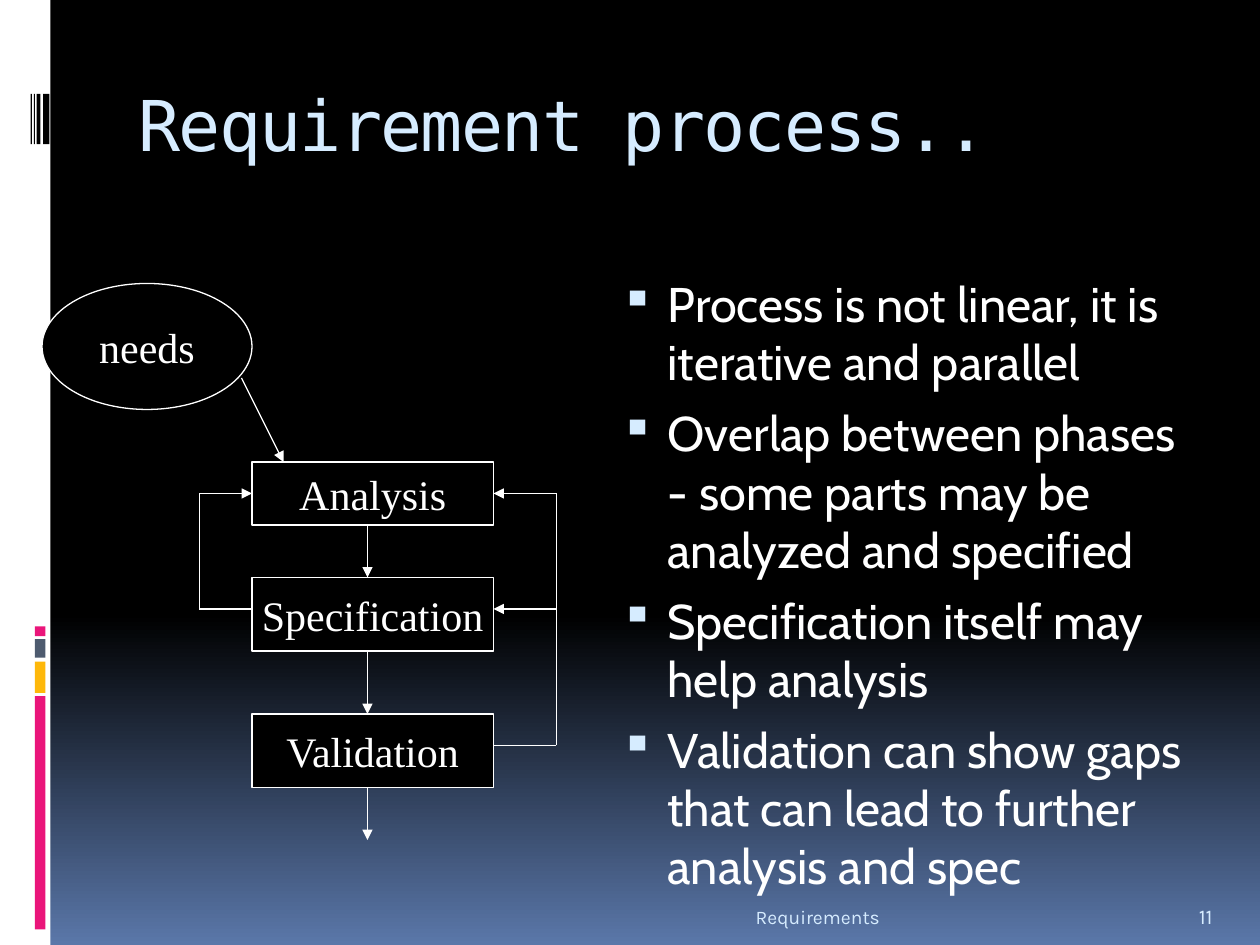
from dataclasses import dataclass

from lxml import etree
from pptx import Presentation
from pptx import util as u
from pptx.dml.color import RGBColor
from pptx.enum import shapes, text
from pptx.oxml.ns import qn

Pt = u.Pt
AL, ANC, SHP = text.PP_ALIGN, text.MSO_ANCHOR, shapes.MSO_SHAPE


@dataclass(frozen=True)
class Theme:
    """Colours, fonts and type sizes of the slide."""
    white: str = "FFFFFF"
    black: str = "000000"
    sky: str = "D6ECFF"
    dusk: str = "5A77A9"
    pink: str = "EA157A"
    amber: str = "FEB80A"
    slate: str = "4E5B6F"
    title: tuple = ("DejaVu Sans Mono", 40)
    body: tuple = ("Cabin", 27.8)
    node: tuple = ("Times New Roman", 24)
    footer: tuple = ("Karla", 11)
    number: tuple = ("Karla", 12)


T = Theme()


def apply(obj, **fmt):
    """Set every given attribute on an object."""
    for name, value in fmt.items():
        setattr(obj, name, value)


def write(tf, lines, style, color, align=AL.LEFT, **frame):
    """Fill a text frame, one paragraph a line."""
    apply(tf, **frame)
    for i, line in enumerate(lines):
        p = tf.paragraphs[0] if i == 0 else tf.add_paragraph()
        p.alignment = align
        r = p.add_run()
        r.text = line
        apply(r.font, name=style[0], size=Pt(style[1]))
        r.font.color.rgb = RGBColor.from_string(color)


def label(s, box, lines, style, color, **fmt):
    """Add a wrapping text box and return its text frame."""
    tf = s.shapes.add_textbox(*map(Pt, box)).text_frame
    write(tf, lines, style, color, word_wrap=True, **fmt)
    return tf


def block(s, kind, box, fill, line=None):
    """Add a filled shape, outlined when a line colour is given."""
    sp = s.shapes.add_shape(kind, *map(Pt, box))
    sp.shadow.inherit = False
    sp.fill.solid()
    sp.fill.fore_color.rgb = RGBColor.from_string(fill)
    if line:
        sp.line.color.rgb = RGBColor.from_string(line)
        sp.line.width = Pt(0.75)
    else:
        sp.line.fill.background()
    return sp


def route(s, points, arrow=True):
    """Join points with straight lines, the last one with an arrowhead."""
    for i, (a, b) in enumerate(zip(points, points[1:]), 2):
        c = s.shapes.add_connector(shapes.MSO_CONNECTOR.STRAIGHT, *map(Pt, a + b))
        c.line.color.rgb = RGBColor.from_string(T.white)
        c.line.width = Pt(0.75)
        if arrow and i == len(points):
            ln = c.line._get_or_add_ln()
            etree.SubElement(ln, qn("a:tailEnd"), type="triangle")
        etree.SubElement(c._element.spPr, qn("a:effectLst"))


def background(s):
    """Fade the background from black to blue in its lower third."""
    fill = s.background.fill
    fill.gradient()
    fill.gradient_angle = 270
    for stop, pos, color in zip(fill.gradient_stops, (0.65, 1), (T.black, T.dusk)):
        stop.position = pos
        stop.color.rgb = RGBColor.from_string(color)


def side_band(s, x, y, w, h):
    """Draw the white band with its coloured bars and black stripes."""
    block(s, SHP.RECTANGLE, (x, y, w, h), T.white)
    bars = ((397.8, 133.3, T.pink), (378, 18, T.amber),
            (365.2, 10.6, T.slate), (357.9, 5.6, T.pink))
    for top, height, color in bars:
        block(s, SHP.RECTANGLE, (x + 20, y + top, 6, height), color)
    for left, width in ((24.7, 3.6), (21, 2.1), (19.3, 0.7), (17.5, 0.7)):
        block(s, SHP.RECTANGLE, (x + left, y + 53.6, width, 28.8), T.black)


def node(s, kind, box, name):
    """Draw one labelled step of the process."""
    sp = block(s, kind, box, T.black, T.white)
    write(sp.text_frame, [name], T.node, T.white, AL.CENTER,
          word_wrap=False, vertical_anchor=ANC.MIDDLE)


def process(s, x, y):
    """Draw the flow of needs, analysis, specification and validation."""
    left, w = x + 120, 138
    right, mid = left + w, left + 66
    steps = (("Analysis", y + 102, 36), ("Specification", y + 168, 42),
             ("Validation", y + 246, 42))
    node(s, SHP.OVAL, (x, y, 120, 72), "needs")
    for name, top, h in steps:
        node(s, SHP.RECTANGLE, (left, top, w, h), name)
    ends = [top for _, top, _ in steps[1:]] + [y + 318]
    for (_, top, h), end in zip(steps, ends):
        route(s, [(mid, top + h), (mid, end)])

    analysis, spec, valid = (top + 18 for _, top, _ in steps)
    loop, back = left - 30, right + 36
    route(s, [(x + 114, y + 54), (left + 18, steps[0][1])])
    route(s, [(left, spec), (loop, spec), (loop, analysis), (left, analysis)])
    route(s, [(right, valid), (back, valid), (back, analysis), (right, analysis)])
    route(s, [(back, spec), (right, spec)])


def bullets(s, box, lines):
    """Write the list with square bullets and a hanging indent."""
    tf = label(s, box, lines, T.body, T.white)
    for p in tf.paragraphs:
        p.space_before = Pt(7)
        pPr = p._p.get_or_add_pPr()
        pPr.set("marL", str(Pt(32.4)))
        pPr.set("indent", str(Pt(-27)))
        clr = etree.SubElement(pPr, qn("a:buClr"))
        etree.SubElement(clr, qn("a:srgbClr"), val=T.sky)
        etree.SubElement(pPr, qn("a:buSzPct"), val="95000")
        etree.SubElement(pPr, qn("a:buChar"), char="▪")


def title(s, box, line):
    """Write the slide title, slightly tightened."""
    tf = label(s, box, [line], T.title, T.sky, margin_top=Pt(6.5))
    tf.paragraphs[0].runs[0].font._element.set("spc", "-100")


def footer(s, y, h, name, number):
    """Write the footer text and the slide number."""
    label(s, (72, y, 438, h), [name], T.footer, T.sky,
          align=AL.RIGHT, vertical_anchor=ANC.BOTTOM)
    label(s, (678, y, 36, h), [number], T.number, T.sky,
          vertical_anchor=ANC.BOTTOM)


def main():
    """Build the slide and save it."""
    prs = Presentation()
    apply(prs, slide_width=Pt(720), slide_height=Pt(540))
    s = prs.slides.add_slide(prs.slide_layouts[6])
    background(s)
    side_band(s, 0, 0, 28.8, 540)
    title(s, (72, 40, 612, 72), "Requirement process..")
    bullets(s, (342, 153, 342, 345.6), [
        "Process is not linear, it is iterative and parallel",
        "Overlap between phases - some parts may be analyzed and specified",
        "Specification itself may help analysis",
        "Validation can show gaps that can lead to further analysis and spec",
    ])
    footer(s, 505.5, 28.8, "Requirements", "11")
    process(s, 24, 162)
    prs.save("out.pptx")


main()
